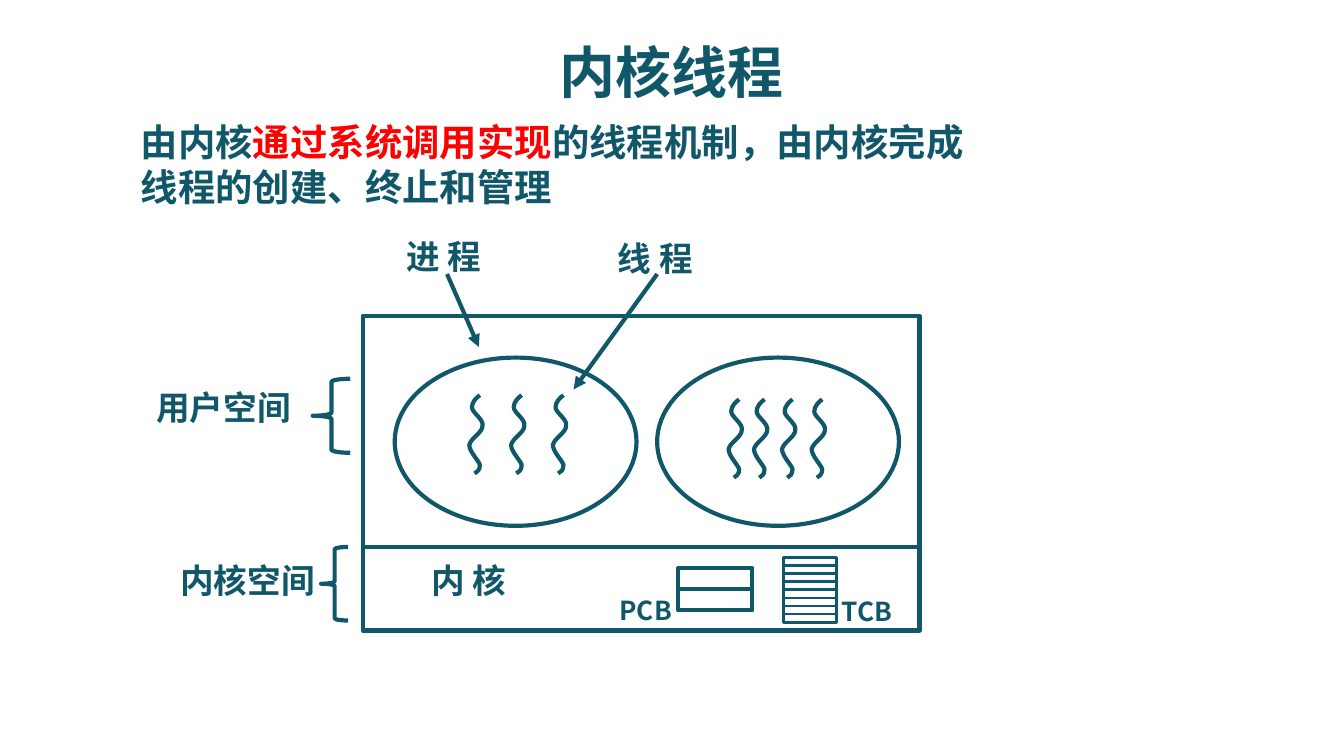
from dataclasses import dataclass

from lxml import etree
from pptx import Presentation
from pptx import util as u
from pptx.dml.color import RGBColor
from pptx.enum import shapes as kinds
from pptx.enum import text as txt
from pptx.oxml.ns import qn

COLORS = {"ink": "11576A", "accent": "FF0000"}
FONT = "Noto Sans CJK SC"
SHAPE = kinds.MSO_SHAPE


@dataclass
class Label:
    text: str
    left: float
    top: float
    width: float
    height: float = 1.02
    size: int = 18
    align: txt.PP_ALIGN = txt.PP_ALIGN.LEFT


@dataclass
class Outline:
    kind: SHAPE
    left: float
    top: float
    width: float
    height: float
    weight: float = 2.25


@dataclass
class Line:
    x1: float
    y1: float
    x2: float
    y2: float
    arrow: bool = False


# All positions are in centimetres
LABELS = [
    Label("进 程", 7.43, 4.34, 1.98),
    Label("线 程", 11.43, 4.37, 1.98),
    Label("内 核", 7.9, 10.46, 1.98),
    Label("用户空间", 2.69, 7.18, 3.07, align=txt.PP_ALIGN.CENTER),
    Label("内核空间", 3.16, 10.46, 3.07),
    Label("PCB", 11.46, 11.11, 1.52, 0.86, 14),
    Label("TCB", 15.66, 11.13, 1.47, 0.86, 14),
]
TCB_HEIGHT, TCB_ROWS = 1.22, 8
TCB_PITCH = TCB_HEIGHT / TCB_ROWS
OUTLINES = [
    Outline(SHAPE.RECTANGLE, 6.86, 5.97, 10.52, 5.95),
    *(Outline(SHAPE.OVAL, left, 6.76, 4.57, 3.18) for left in (7.46, 12.42)),
    Outline(SHAPE.LEFT_BRACE, 5.91, 7.16, 0.71, 1.4),
    Outline(SHAPE.LEFT_BRACE, 6.07, 10.34, 0.51, 1.39),
    *(Outline(SHAPE.RECTANGLE, 12.82, 10.74 + 0.4 * row, 1.4, 0.4) for row in range(2)),
    *(
        Outline(SHAPE.RECTANGLE, 14.81, 10.54 + TCB_PITCH * row, 1, TCB_PITCH, 1.5)
        for row in range(TCB_ROWS)
    ),
]
LINES = [
    Line(12.42, 5.18, 10.84, 7.36, arrow=True),
    Line(8.45, 5.18, 9.05, 6.56, arrow=True),
    Line(6.86, 10.34, 17.38, 10.34),
]

# Thread wave: a start point, then three control points per curve
WAVE = [
    (0.2, 0), (0.13, 0.05), (0.05, 0.13), (0.05, 0.23),
    (0.05, 0.33), (0.28, 0.46), (0.25, 0.58),
    (0.25, 0.71), (0.03, 0.81), (0, 0.94),
    (0, 1.07), (0.18, 1.24), (0.2, 1.32),
    (0.2, 1.42), (0.15, 1.45), (0.1, 1.48),
]
THREADS = [(left, 7.47) for left in (8.87, 9.66, 10.45)]
THREADS += [(left, 7.55) for left in (13.77, 14.25, 14.78, 15.34)]


def rgb(name: str) -> RGBColor:
    return RGBColor.from_string(COLORS[name])


def style_run(run, size: int, color: str = "ink") -> None:
    run.font.size = u.Pt(size)
    run.font.bold = True
    run.font.color.rgb = rgb(color)
    run.font.name = FONT
    latin = run.font._element.find(qn("a:latin"))
    east_asian = etree.Element(qn("a:ea"), typeface=FONT)
    latin.addnext(east_asian)


def style_line(item, weight: float = 2.25) -> None:
    item.line.color.rgb = rgb("ink")
    item.line.width = u.Pt(weight)


def place(item, left: float, top: float, width: float, height: float) -> None:
    item.left, item.top = u.Cm(left), u.Cm(top)
    item.width, item.height = u.Cm(width), u.Cm(height)


def draw_outline(slide, part: Outline) -> None:
    box = [u.Cm(v) for v in (part.left, part.top, part.width, part.height)]
    shape = slide.shapes.add_shape(part.kind, *box)
    shape.shadow.inherit = False
    shape.fill.background()
    style_line(shape, part.weight)


def draw_line(slide, part: Line) -> None:
    ends = [u.Cm(v) for v in (part.x1, part.y1, part.x2, part.y2)]
    line = slide.shapes.add_connector(kinds.MSO_CONNECTOR.STRAIGHT, *ends)
    style_line(line)
    if part.arrow:
        etree.SubElement(line.line._get_or_add_ln(), qn("a:tailEnd"), type="triangle")
    etree.SubElement(line._element.spPr, qn("a:effectLst"))


def draw_thread(slide, left: float, top: float) -> None:
    start, *rest = [(u.Cm(left + x), u.Cm(top + y)) for x, y in WAVE]
    builder = slide.shapes.build_freeform(*start)
    builder.add_line_segments(rest, close=False)
    thread = builder.convert_to_shape()
    # Turn each three segments into one Bezier curve
    segments = list(thread._element.iter(qn("a:lnTo")))
    drawing = segments[0].getparent()
    for first in range(0, len(segments), 3):
        curve = etree.SubElement(drawing, qn("a:cubicBezTo"))
        for segment in segments[first:first + 3]:
            curve.append(segment[0])
            drawing.remove(segment)
    thread.shadow.inherit = False
    thread.fill.background()
    style_line(thread)


def draw_label(slide, part: Label) -> None:
    box = [u.Cm(v) for v in (part.left, part.top, part.width, part.height)]
    frame = slide.shapes.add_textbox(*box).text_frame
    frame.word_wrap = False
    frame.auto_size = txt.MSO_AUTO_SIZE.SHAPE_TO_FIT_TEXT
    frame.text = part.text
    frame.paragraphs[0].alignment = part.align
    style_run(frame.paragraphs[0].runs[0], part.size)


prs = Presentation()
prs.slide_width, prs.slide_height = u.Cm(25.4), u.Cm(14.29)
slide = prs.slides.add_slide(prs.slide_layouts[5])

# Title
title = slide.shapes.title
place(title, 7.43, 0.47, 10.52, 1.75)
title.text_frame.text = "内核线程"
title.text_frame.vertical_anchor = txt.MSO_ANCHOR.MIDDLE
title.text_frame.paragraphs[0].alignment = txt.PP_ALIGN.CENTER
style_run(title.text_frame.paragraphs[0].runs[0], 30)

# Definition
definition = slide.shapes.add_textbox(u.Cm(2.41), u.Cm(2.13), u.Cm(16.43), u.Cm(1.98))
definition.text_frame.word_wrap = True
for wording, color in (
    ("由内核", "ink"),
    ("通过系统调用实现", "accent"),
    ("的线程机制，由内核完成线程的创建、终止和管理", "ink"),
):
    run = definition.text_frame.paragraphs[0].add_run()
    run.text = wording
    style_run(run, 20, color)

# Diagram
for outline in OUTLINES:
    draw_outline(slide, outline)
for thread_left, thread_top in THREADS:
    draw_thread(slide, thread_left, thread_top)
for connector in LINES:
    draw_line(slide, connector)
for label in LABELS:
    draw_label(slide, label)

prs.save("out.pptx")
